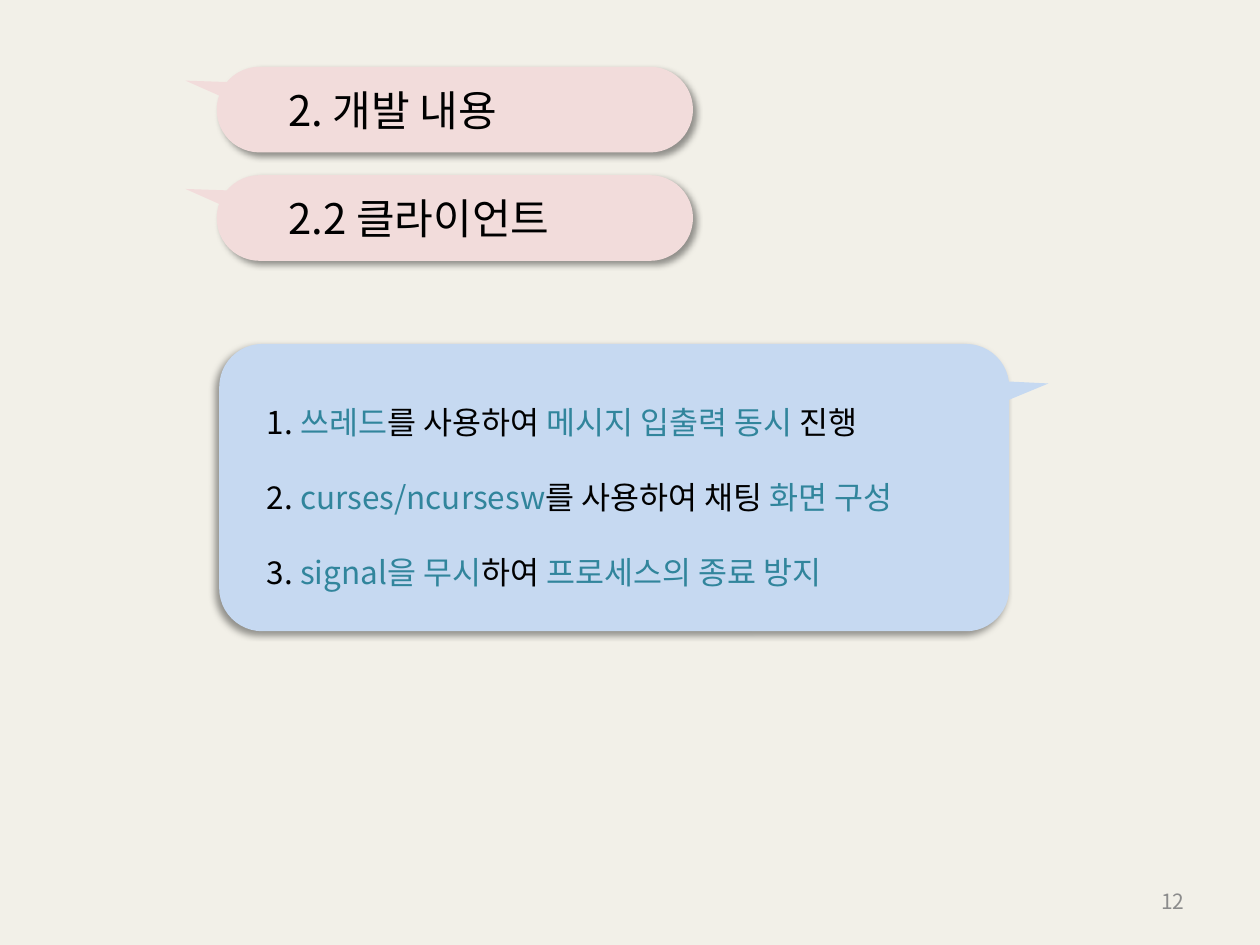
"""Build the client development slide: two heading bubbles and a list bubble."""
import dataclasses

import lxml.etree
import pptx
import pptx.dml.color
import pptx.enum.shapes
import pptx.enum.text
import pptx.oxml.ns
import pptx.util

COLUMNS, ROWS = 100, 75
SHAPE = pptx.enum.shapes.MSO_SHAPE
ALIGN = pptx.enum.text.PP_ALIGN
ANCHOR = pptx.enum.text.MSO_ANCHOR


@dataclasses.dataclass(frozen=True)
class Theme:
    """Hold the colours, font and type sizes in one place."""
    font: str = "Noto Sans CJK KR"
    background: str = "F2F0E8"
    heading_fill: str = "F2DCDB"
    list_fill: str = "C6D9F1"
    text: str = "000000"
    accent: str = "31859C"
    muted: str = "8C8C8C"
    shadow: str = "000000"
    heading_size: int = 24
    list_size: int = 18
    number_size: int = 12
    list_leading: int = 43


THEME = Theme()
HEADINGS = ["2. 개발 내용", "2.2 클라이언트"]
ITEMS = [
    [("1. ", THEME.text), ("쓰레드", THEME.accent), ("를 사용하여 ", THEME.text),
     ("메시지 입출력 동시", THEME.accent), (" 진행", THEME.text)],
    [("2. ", THEME.text), ("curses/ncursesw", THEME.accent),
     ("를 사용하여 채팅 ", THEME.text), ("화면 구성", THEME.accent)],
    [("3. ", THEME.text), ("signal을 무시", THEME.accent), ("하여 ", THEME.text),
     ("프로세스의 종료 방지", THEME.accent)],
]


def rgb(value):
    """Turn a hex string into a colour."""
    return pptx.dml.color.RGBColor.from_string(value)


def cells(count):
    """Turn a count of square grid cells into a length."""
    return pptx.util.Inches(count / 10)


def child(parent, tag, **attributes):
    """Append a DrawingML element to a parent."""
    name = pptx.oxml.ns.qn(f"a:{tag}")
    return lxml.etree.SubElement(parent, name, attributes)


def add_span(para, text, size, color):
    """Add one run in the theme font."""
    span = para.add_run()
    span.text = text
    span.font.size = pptx.util.Pt(size)
    span.font.name = THEME.font
    span.font.color.rgb = rgb(color)
    child(span.font._element, "ea", typeface=THEME.font)


def add_box(page, place, anchor=ANCHOR.TOP):
    """Add a wrapping text box and return its frame."""
    frame = page.shapes.add_textbox(*map(cells, place)).text_frame
    frame.word_wrap = True
    frame.vertical_anchor = anchor
    return frame


def add_plain(group, kind, place, fill):
    """Add a filled preset shape without line or shadow."""
    shape = group.shapes.add_shape(kind, *map(cells, place))
    shape.shadow.inherit = False
    shape.fill.solid()
    shape.fill.fore_color.rgb = rgb(fill)
    shape.line.fill.background()
    return shape


def add_shadow(shape, angle):
    """Give a shape a soft outer shadow."""
    effects = shape._element.spPr.find(pptx.oxml.ns.qn("a:effectLst"))
    outer = child(effects, "outerShdw", blurRad=str(pptx.util.Pt(4)),
                  dist=str(pptx.util.Pt(3)), dir=str(angle * 60000),
                  algn="ctr", rotWithShape="0")
    color = child(outer, "srgbClr", val=THEME.shadow)
    child(color, "alpha", val="40000")


def add_bubble(page, body, corner, tail, turn, fill, shadow_angle):
    """Add a rounded speech bubble with a tail and return its body."""
    group = page.shapes.add_group_shape()
    bubble = add_plain(group, SHAPE.ROUNDED_RECTANGLE, body, fill)
    bubble.adjustments[0] = corner
    add_shadow(bubble, shadow_angle)
    add_plain(group, SHAPE.ISOSCELES_TRIANGLE, tail, fill).rotation = turn
    return bubble


def add_heading(page, text, top):
    """Add a heading bubble whose tail points left."""
    bubble = add_bubble(page, (17.2, top, 37.8, 6.8), 0.5,
                        (16.3, top - 1, 2.1, 5.4), 283, THEME.heading_fill, 45)
    frame = bubble.text_frame
    frame.vertical_anchor = ANCHOR.MIDDLE
    frame.margin_left = cells(4.7)
    para = frame.paragraphs[0]
    para.alignment = ALIGN.LEFT
    add_span(para, text, THEME.heading_size, THEME.text)


def add_list(page, items):
    """Add the list bubble and its two-colour lines."""
    add_bubble(page, (17.4, 27.3, 62.7, 22.8), 0.15,
               (79.7, 28.4, 2.2, 4.9), 80.2, THEME.list_fill, 135)
    frame = add_box(page, (20.2, 28.5, 57.4, 19.2))
    for index, item in enumerate(items):
        para = frame.add_paragraph() if index else frame.paragraphs[0]
        para.line_spacing = pptx.util.Pt(THEME.list_leading)
        for text, color in item:
            add_span(para, text, THEME.list_size, color)


def add_number(page, number):
    """Add the page number at the lower right."""
    frame = add_box(page, (71.7, 69.5, 23.3, 4), ANCHOR.MIDDLE)
    para = frame.paragraphs[0]
    para.alignment = ALIGN.RIGHT
    add_span(para, number, THEME.number_size, THEME.muted)


def main():
    """Build and save the deck."""
    deck = pptx.Presentation()
    deck.slide_width, deck.slide_height = cells(COLUMNS), cells(ROWS)
    page = deck.slides.add_slide(deck.slide_layouts[6])
    page.background.fill.solid()
    page.background.fill.fore_color.rgb = rgb(THEME.background)
    add_number(page, "12")
    for index, text in enumerate(HEADINGS):
        add_heading(page, text, 5.3 + 8.6 * index)
    add_list(page, ITEMS)
    deck.save("out.pptx")


if __name__ == "__main__":
    main()
